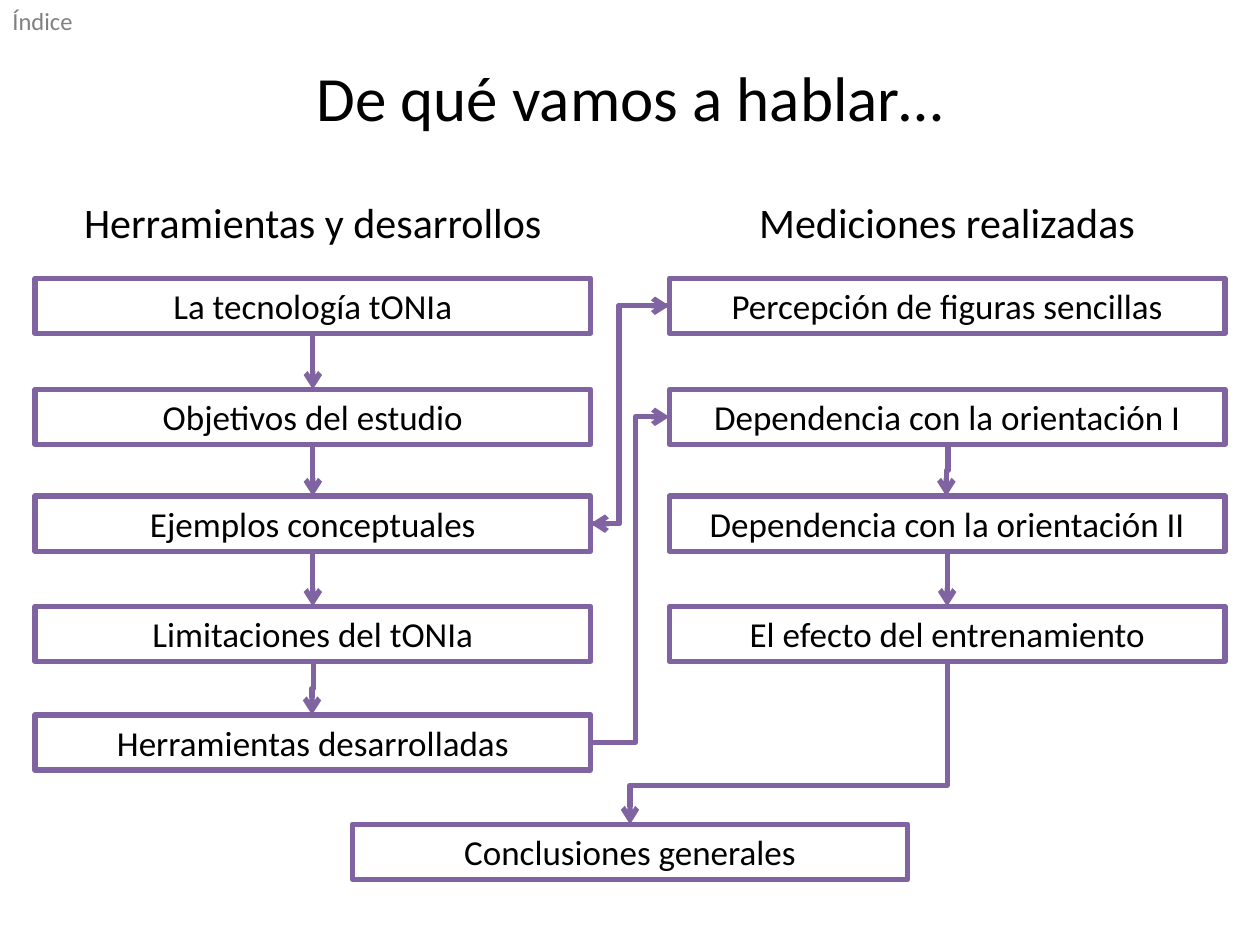
from lxml import etree
from pptx import Presentation
from pptx import util as u
from pptx.dml.color import RGBColor
from pptx.enum import shapes, text
from pptx.oxml import ns


def colour(value):
    return RGBColor.from_string(value)


class Diagram:
    font, ink, grey, accent = "Calibri", "000000", "808080", "8064A2"
    line_width = 3

    def __init__(self, page):
        self.page = page

    def put_words(self, shape, words, size, ink, align):
        frame = shape.text_frame
        frame.word_wrap = True
        frame.auto_size = text.MSO_AUTO_SIZE.SHAPE_TO_FIT_TEXT
        para = frame.paragraphs[0]
        para.text = words
        para.alignment = align
        para.font.name = self.font
        para.font.size = u.Pt(size)
        para.font.color.rgb = colour(ink)

    def label(self, words, left, top, width, height, size,
              ink=ink, align=text.PP_ALIGN.CENTER):
        area = [u.Pt(n) for n in (left, top, width, height)]
        self.put_words(self.page.shapes.add_textbox(*area), words, size, ink, align)

    def box(self, words, left, top, width, height):
        area = [u.Pt(n) for n in (left, top, width, height)]
        box = self.page.shapes.add_shape(shapes.MSO_SHAPE.RECTANGLE, *area)
        box.shadow.inherit = False
        box.fill.background()
        box.line.color.rgb = colour(self.accent)
        box.line.width = u.Pt(self.line_width)
        box.text_frame.vertical_anchor = text.MSO_ANCHOR.MIDDLE
        self.put_words(box, words, 20, self.ink, text.PP_ALIGN.CENTER)

    def elbow(self, start, end, bend):
        """Arrow that runs across, turns at the given share and runs on."""
        ends = [u.Pt(n) for n in (*start, *end)]
        arrow = self.page.shapes.add_connector(shapes.MSO_CONNECTOR.ELBOW, *ends)
        arrow.line.color.rgb = colour(self.accent)
        arrow.line.width = u.Pt(self.line_width)
        props = arrow._element.spPr
        etree.SubElement(props.find(ns.qn("a:ln")), ns.qn("a:tailEnd"), type="arrow")
        etree.SubElement(props, ns.qn("a:effectLst"))
        geometry = props.find(ns.qn("a:prstGeom"))
        guides = geometry.find(ns.qn("a:avLst"))
        if guides is None:
            guides = etree.SubElement(geometry, ns.qn("a:avLst"))
        etree.SubElement(guides, ns.qn("a:gd"), name="adj1",
                         fmla=f"val {round(bend * 100000)}")
        return arrow

    def down(self, start, end, bend=0.5):
        """Arrow that leaves downwards and ends at or left of its start."""
        (x1, y1), (x2, y2) = start, end
        mid_x, mid_y = (x1 + x2) / 2, (y1 + y2) / 2
        half_w, half_h = (y2 - y1) / 2, (x1 - x2) / 2
        arrow = self.elbow((mid_x - half_w, mid_y - half_h),
                           (mid_x + half_w, mid_y + half_h), bend)
        arrow._element.spPr.find(ns.qn("a:xfrm")).set("rot", str(90 * 60000))


def main():
    deck = Presentation()
    deck.slide_width, deck.slide_height = u.Pt(720), u.Pt(540)
    diagram = Diagram(deck.slides.add_slide(deck.slide_layouts[6]))

    box_w, box_h = 317.5, 31.5
    left, right = 20, 382.5
    left_mid, right_mid = left + box_w / 2, right + box_w / 2
    rows = [159, 222.5, 283.5, 346.5, 408.5, 471]

    # Titles
    diagram.label("De qué vamos a hablar…", 0, 30, 720, 51, 36)
    diagram.label("Índice", 0, 0, 235.5, 24.5, 14, Diagram.grey, text.PP_ALIGN.LEFT)

    # Columns of topics
    columns = [
        (left, "Herramientas y desarrollos",
         ["La tecnología tONIa", "Objetivos del estudio", "Ejemplos conceptuales",
          "Limitaciones del tONIa", "Herramientas desarrolladas"]),
        (right, "Mediciones realizadas",
         ["Percepción de figuras sencillas", "Dependencia con la orientación I",
          "Dependencia con la orientación II", "El efecto del entrenamiento"]),
    ]
    for x, heading, topics in columns:
        diagram.label(heading, x, 108.5, box_w, 36, 24)
        for topic, top in zip(topics, rows):
            diagram.box(topic, x, top, box_w, box_h)
    diagram.box("Conclusiones generales", (720 - box_w) / 2, rows[5], box_w, box_h)

    # Arrows down the columns: middle, row above, sideways jog
    steps = [(left_mid, 0, 0), (left_mid, 1, 0), (left_mid, 2, 0), (left_mid, 3, 1),
             (right_mid, 1, 1), (right_mid, 2, 0)]
    for x, row, jog in steps:
        diagram.down((x + jog / 2, rows[row] + box_h), (x - jog / 2, rows[row + 1]))
    diagram.down((right_mid, rows[3] + box_h), (360, rows[5]), 0.76)

    # Arrows between the columns
    centres = [top + box_h / 2 for top in rows]
    examples, figures = (left + box_w, centres[2]), (right, centres[0])
    diagram.elbow(examples, figures, 0.36)
    diagram.elbow(figures, examples, 0.64)
    diagram.elbow((left + box_w, centres[4]), (right, centres[1]), 0.57)

    deck.save("out.pptx")


if __name__ == "__main__":
    main()
